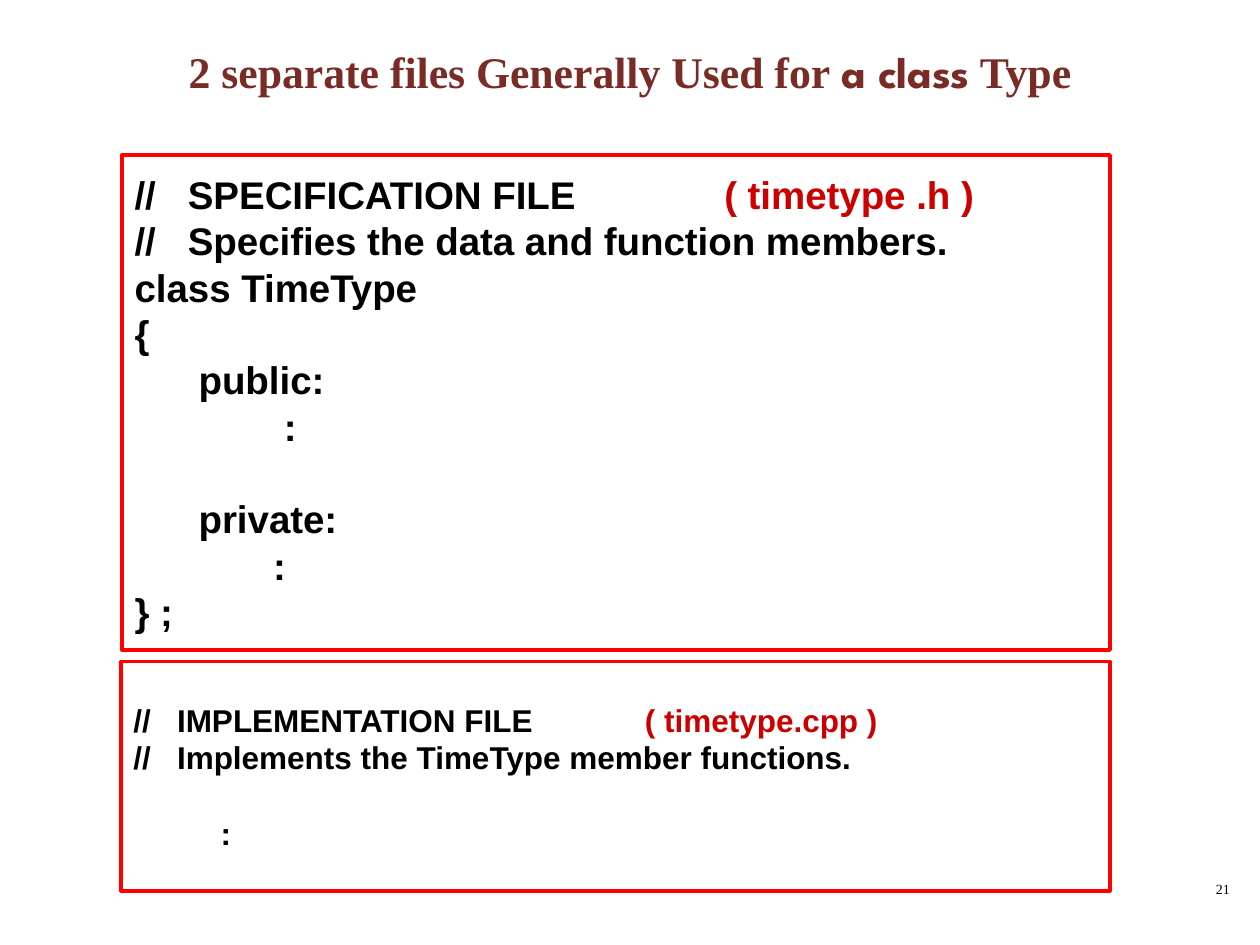
from lxml import etree
from pptx import Presentation
from pptx.dml.color import RGBColor
from pptx.enum.shapes import MSO_SHAPE
from pptx.enum.text import MSO_ANCHOR, PP_ALIGN
from pptx.oxml.ns import qn
from pptx.util import Inches, Pt

RECTANGLE = MSO_SHAPE.RECTANGLE
TOP, MIDDLE = MSO_ANCHOR.TOP, MSO_ANCHOR.MIDDLE
LEFT, CENTER, RIGHT = PP_ALIGN.LEFT, PP_ALIGN.CENTER, PP_ALIGN.RIGHT

SERIF, SANS, DISPLAY = "Times New Roman", "Arial", "League Spartan"
BLACK, BROWN, RED, DARK_RED = "000000", "792B25", "FF0000", "CC0000"


def rgb(color):
    return RGBColor.from_string(color)


def add_run(p, text, size, font, color, bold=True):
    r = p.add_run()
    r.text = text
    r.font.size = Pt(size)
    r.font.name = font
    r.font.bold = bold
    r.font.color.rgb = rgb(color)


def add_label(slide, box, align, anchor):
    """Add a text box and return its empty first paragraph."""
    tf = slide.shapes.add_textbox(*map(Inches, box)).text_frame
    tf.word_wrap = True
    tf.vertical_anchor = anchor
    p = tf.paragraphs[0]
    p.alignment = align
    return p


def add_tab_stop(p, position):
    tabs = etree.SubElement(p._p.get_or_add_pPr(), qn("a:tabLst"))
    etree.SubElement(tabs, qn("a:tab"), pos=str(Inches(position)), algn="l")


def add_code_box(slide, box, heading, file_name, tab, lines, size, pitch):
    """Framed listing; an empty line becomes space before the next one."""
    sp = slide.shapes.add_shape(RECTANGLE, *map(Inches, box))
    sp.shadow.inherit = False
    sp.fill.background()
    sp.line.color.rgb = rgb(RED)
    sp.line.width = Pt(2)
    tf = sp.text_frame
    tf.word_wrap = True
    tf.vertical_anchor = MIDDLE

    # Heading with the file name at a tab stop
    p = tf.paragraphs[0]
    p.alignment = LEFT
    add_tab_stop(p, tab)
    p.line_spacing = Pt(pitch)
    add_run(p, heading + "\t", size, SANS, BLACK)
    add_run(p, file_name, size, SANS, DARK_RED)

    # Code lines
    gap = 0
    for line in lines:
        if not line:
            gap += pitch
            continue
        p = tf.add_paragraph()
        p.alignment = LEFT
        p.line_spacing = Pt(pitch)
        p.space_before = Pt(gap)
        add_run(p, line, size, SANS, BLACK)
        gap = 0


def main():
    prs = Presentation()
    prs.slide_width, prs.slide_height = Inches(10), Inches(7.5)
    slide = prs.slides.add_slide(prs.slide_layouts[6])

    # Slide number
    p = add_label(slide, (7.78, 6.94, 2.08, 0.5), RIGHT, TOP)
    add_run(p, "21", 8, SERIF, BLACK, bold=False)

    # Title
    p = add_label(slide, (0.75, 0.25, 8.5, 0.62), CENTER, MIDDLE)
    for text, font in (("2 separate files Generally Used for", SERIF),
                       (" a class", DISPLAY), (" Type", SERIF)):
        add_run(p, text, 25, font, BROWN)

    # Specification file
    add_code_box(slide, (0.97, 1.23, 7.84, 3.93),
                 "//   SPECIFICATION FILE", "( timetype .h )", 4.68,
                 ["//   Specifies the data and function members.",
                  "class TimeType",
                  "{",
                  "      public:",
                  "              :",
                  "",
                  "      private:",
                  "             :",
                  "} ;"], size=22, pitch=26.5)

    # Implementation file
    add_code_box(slide, (0.96, 5.25, 7.85, 1.82),
                 "//   IMPLEMENTATION FILE", "( timetype.cpp )", 4.06,
                 ["//   Implements the TimeType member functions.",
                  "",
                  "          :"], size=18, pitch=21.5)

    prs.save("out.pptx")


if __name__ == "__main__":
    main()
